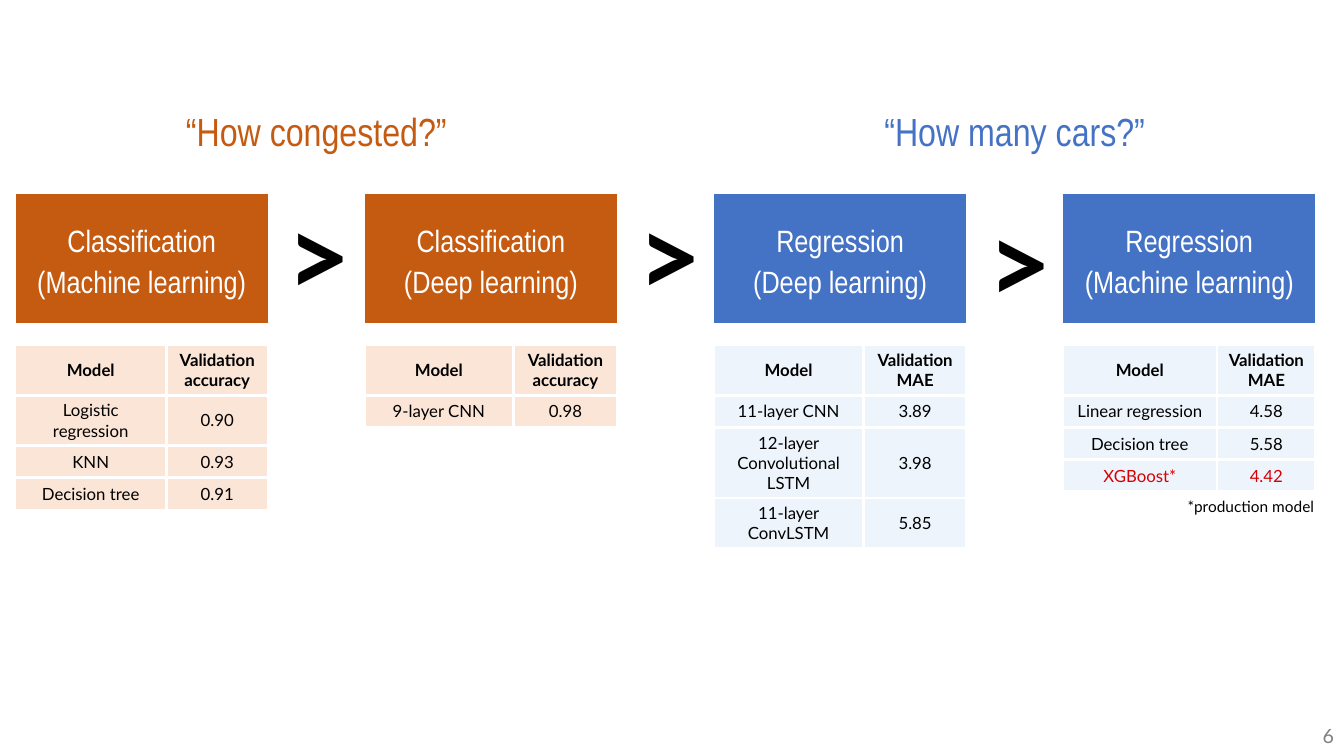
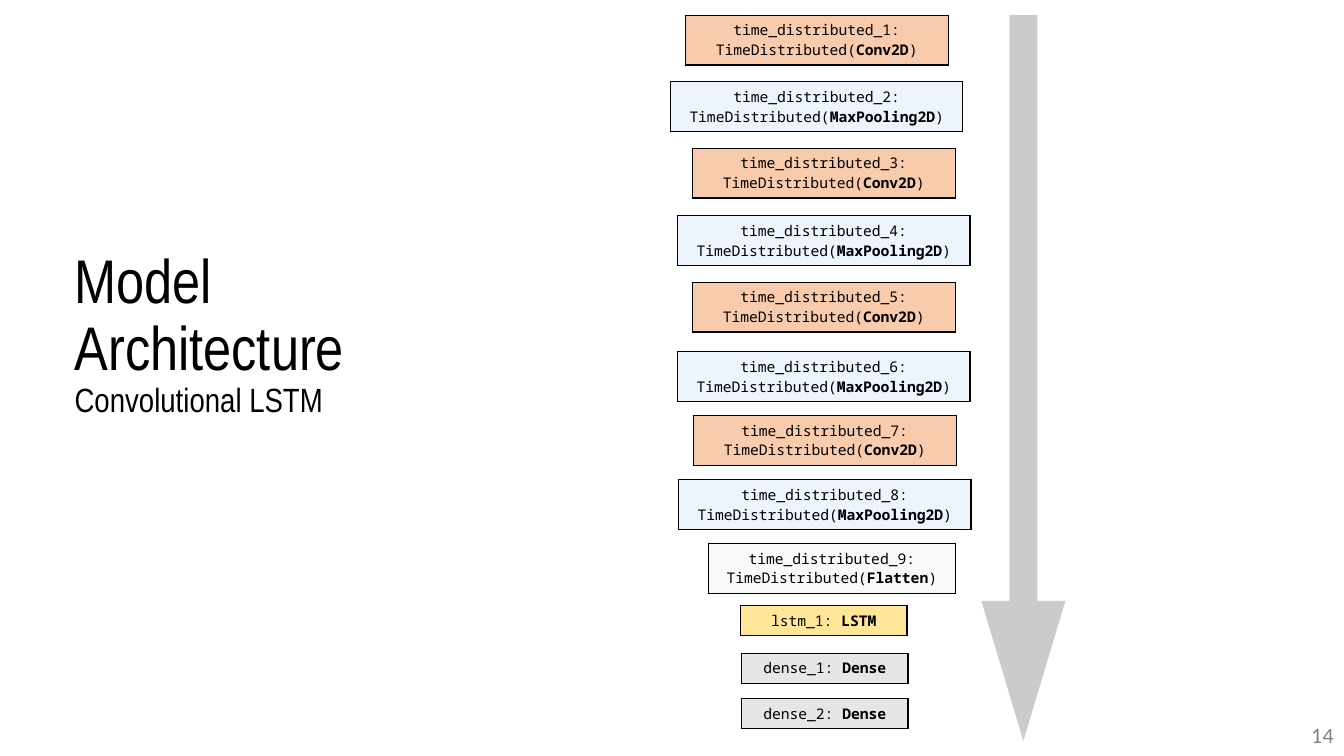
from pptx import Presentation
from pptx.dml.color import RGBColor
from pptx.enum.shapes import MSO_CONNECTOR
from pptx.enum.text import MSO_ANCHOR, MSO_AUTO_SIZE, PP_ALIGN
from pptx.oxml.ns import qn
from pptx.util import Inches, Pt
from lxml import etree

LEFT, CENTER, RIGHT = PP_ALIGN.LEFT, PP_ALIGN.CENTER, PP_ALIGN.RIGHT
MIDDLE, TOP = MSO_ANCHOR.MIDDLE, MSO_ANCHOR.TOP
STRAIGHT = MSO_CONNECTOR.STRAIGHT
NO_AUTOFIT = MSO_AUTO_SIZE.NONE

WIDTH, HEIGHT = 13.33, 7.5
MARGIN = 0.15
COLUMN_WIDTH = 2.51
COLUMN_STEP = (WIDTH - 0.28 - MARGIN - COLUMN_WIDTH) / 3
SIGN_LEFT, SIGN_STEP = 2.74, 3.48

HEADING, BODY, CODE = "Arial Narrow", "Lato", "Noto Sans Mono"
COLORS = {
    "black": "000000", "white": "FFFFFF", "gray": "808080", "red": "D70003",
    "orange": "C55A11", "blue": "4472C4", "peach": "FBE5D6", "ice": "EDF4FB",
    "conv": "F8CBAD", "flatten": "F9F9F9", "lstm": "FFE699", "dense": "E7E6E6",
    "arrow": "767171",
}

QUESTIONS = [("“How congested?”", "orange"), ("“How many cars?”", "blue")]
TINTS = {"orange": "peach", "blue": "ice"}
APPROACHES = [
    ("Classification", "(Machine learning)", "orange", 1.5,
     [("Model", "Validation accuracy"), ("Logistic regression", "0.90"),
      ("KNN", "0.93"), ("Decision tree", "0.91")]),
    ("Classification", "(Deep learning)", "orange", 1.48,
     [("Model", "Validation accuracy"), ("9-layer CNN", "0.98")]),
    ("Regression", "(Deep learning)", "blue", 1.49,
     [("Model", "Validation MAE"), ("11-layer CNN", "3.89"),
      ("12-layer Convolutional LSTM", "3.98"), ("11-layer ConvLSTM", "5.85")]),
    ("Regression", "(Machine learning)", "blue", 1.53,
     [("Model", "Validation MAE"), ("Linear regression", "4.58"),
      ("Decision tree", "5.58"), ("XGBoost*", "4.42")]),
]
PRODUCTION_MODEL = "XGBoost*"
SIGN_TOPS = [1.79, 1.79, 1.86]

LAYER_STYLES = {
    "Conv2D": (2.61, 0.45, "conv"), "MaxPooling2D": (2.9, 0.45, "ice"),
    "Flatten": (2.45, 0.45, "flatten"), "LSTM": (1.65, 0.28, "lstm"),
    "Dense": (1.65, 0.28, "dense"),
}
LAYERS = [
    ("time_distributed_1", "Conv2D", 8.1, 0.15),
    ("time_distributed_2", "MaxPooling2D", 8.1, 0.81),
    ("time_distributed_3", "Conv2D", 8.17, 1.47),
    ("time_distributed_4", "MaxPooling2D", 8.17, 2.14),
    ("time_distributed_5", "Conv2D", 8.17, 2.8),
    ("time_distributed_6", "MaxPooling2D", 8.17, 3.49),
    ("time_distributed_7", "Conv2D", 8.18, 4.12),
    ("time_distributed_8", "MaxPooling2D", 8.18, 4.76),
    ("time_distributed_9", "Flatten", 8.25, 5.39),
    ("lstm_1", "LSTM", 8.17, 6.01),
    ("dense_1", "Dense", 8.18, 6.48),
    ("dense_2", "Dense", 8.18, 6.93),
]


def rgb(color):
    return RGBColor.from_string(COLORS[color])


def style(paragraph, font, size, color="black", bold=False, align=CENTER, spacing=None):
    paragraph.alignment = align
    if spacing:
        paragraph.line_spacing = spacing
    paragraph.font.name = font
    paragraph.font.size = Pt(size)
    paragraph.font.bold = bold
    paragraph.font.color.rgb = rgb(color)


def add_grid(slide, left, top, widths, heights):
    frame = slide.shapes.add_table(
        len(heights), len(widths), Inches(left), Inches(top),
        Inches(sum(widths)), Inches(sum(heights)))
    grid = frame.table
    grid.first_row = grid.horz_banding = False
    for column, width in zip(grid.columns, widths):
        column.width = Inches(width)
    for row, height in zip(grid.rows, heights):
        row.height = Inches(height)
    return grid


def format_cell(cell, fill=None, border=None, weight=1):
    cell.vertical_anchor = MIDDLE
    if border:
        properties = cell._tc.get_or_add_tcPr()
        for side in ("lnL", "lnR", "lnT", "lnB"):
            line = etree.SubElement(properties, qn(f"a:{side}"), w=str(Pt(weight)))
            solid = etree.SubElement(line, qn("a:solidFill"))
            etree.SubElement(solid, qn("a:srgbClr"), val=COLORS[border])
    if fill:
        cell.fill.solid()
        cell.fill.fore_color.rgb = rgb(fill)
    else:
        cell.fill.background()


def add_banner(slide, left, top, width, height, lines, size, color, fill=None):
    cell = add_grid(slide, left, top, [width], [height]).cell(0, 0)
    format_cell(cell, fill)
    cell.text = "\n".join(lines)
    for paragraph in cell.text_frame.paragraphs:
        style(paragraph, HEADING, size, color, spacing=Pt(30))


def add_label(slide, left, top, width, height, text, size, color="black",
              bold=False, align=LEFT, anchor=TOP, wrap=True):
    frame = slide.shapes.add_textbox(
        Inches(left), Inches(top), Inches(width), Inches(height)).text_frame
    frame.word_wrap = wrap
    frame.vertical_anchor = anchor
    frame.text = text
    style(frame.paragraphs[0], BODY, size, color, bold, align)


def add_page_number(slide, number):
    add_label(slide, WIDTH - 1.06, HEIGHT - 0.4, 1.06, 0.4, str(number), 14,
              "gray", align=RIGHT, anchor=MIDDLE)


def add_scores(slide, left, model_width, scores, fill):
    grid = add_grid(slide, left, 3.42, [model_width, COLUMN_WIDTH - model_width],
                    [0.32] * len(scores))
    for row, score in enumerate(scores):
        color = "red" if score[0] == PRODUCTION_MODEL else "black"
        for column, text in enumerate(score):
            cell = grid.cell(row, column)
            format_cell(cell, fill, "white", 2.25)
            cell.text = text
            style(cell.text_frame.paragraphs[0], BODY, 12, color, bold=row == 0)


def add_layer(slide, name, kind, center, top):
    width, height, fill = LAYER_STYLES[kind]
    cell = add_grid(slide, center - width / 2, top, [width], [height]).cell(0, 0)
    format_cell(cell, fill, "black")
    wrapped = name.startswith("time_distributed")
    paragraph = cell.text_frame.paragraphs[0]
    style(paragraph, CODE, 10.5)
    paragraph.add_run().text = f"{name}: TimeDistributed(" if wrapped else f"{name}: "
    operation = paragraph.add_run()
    operation.text = kind
    operation.font.bold = True
    if wrapped:
        paragraph.add_run().text = ")"


def add_flow_arrow(slide):
    arrow = slide.shapes.add_connector(
        STRAIGHT, Inches(10.15), Inches(MARGIN), Inches(10.15), Inches(HEIGHT - MARGIN))
    arrow.line.width = Pt(20)
    arrow.line.color.rgb = rgb("arrow")
    properties = arrow._element.spPr
    tint = properties.find(".//" + qn("a:srgbClr"))
    etree.SubElement(tint, qn("a:alpha"), val="36000")
    etree.SubElement(properties.find(qn("a:ln")), qn("a:tailEnd"),
                     type="triangle", w="med", len="lg")
    etree.SubElement(properties, qn("a:effectLst"))


def build_comparison(deck):
    slide = deck.slides.add_slide(deck.slide_layouts[6])
    for index, (question, color) in enumerate(QUESTIONS):
        add_banner(slide, MARGIN + 2 * index * COLUMN_STEP, 1.07,
                   COLUMN_STEP + COLUMN_WIDTH, 0.51, [question], 28, color)
    for index, (task, method, color, model_width, scores) in enumerate(APPROACHES):
        left = MARGIN + index * COLUMN_STEP
        add_banner(slide, left, 1.92, COLUMN_WIDTH, 1.29, [task, method], 22,
                   "white", color)
        add_scores(slide, left, model_width, scores, TINTS[color])
    for index, top in enumerate(SIGN_TOPS):
        add_label(slide, SIGN_LEFT + index * SIGN_STEP, top, 0.72, 1.45, ">", 80, bold=True)
    add_label(slide, 11.68, 4.88, 1.47, 0.29, "*production model", 11, wrap=False)
    add_page_number(slide, 6)


def build_architecture(deck):
    slide = deck.slides.add_slide(deck.slide_layouts[5])
    title = slide.shapes.title
    title.left, title.top = Inches(0.64), Inches(2.6)
    title.width, title.height = Inches(4.28), Inches(1.45)
    title.text_frame.auto_size = NO_AUTOFIT
    title.text_frame.vertical_anchor = MIDDLE
    heading = title.text_frame.paragraphs[0]
    style(heading, HEADING, 44, align=LEFT, spacing=0.9)
    heading.add_run().text = "Model Architecture"
    heading.add_line_break()
    subtitle = heading.add_run()
    subtitle.text = "Convolutional LSTM"
    subtitle.font.size = Pt(24)
    for layer in LAYERS:
        add_layer(slide, *layer)
    add_flow_arrow(slide)
    add_page_number(slide, 14)


def main():
    """Build the model comparison and architecture slides."""
    deck = Presentation()
    deck.slide_width, deck.slide_height = Inches(WIDTH), Inches(HEIGHT)
    build_comparison(deck)
    build_architecture(deck)
    deck.save("out.pptx")


if __name__ == "__main__":
    main()
